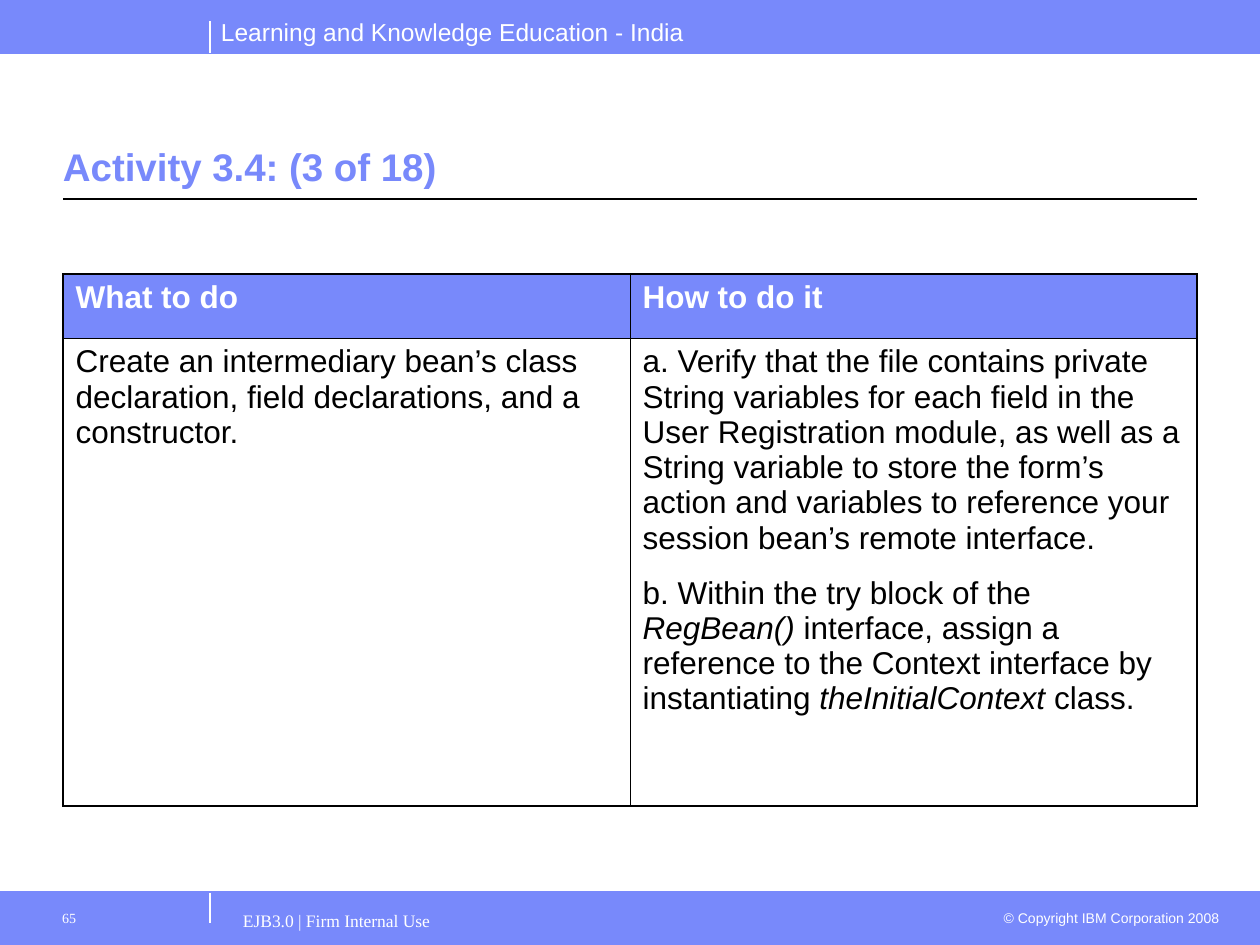
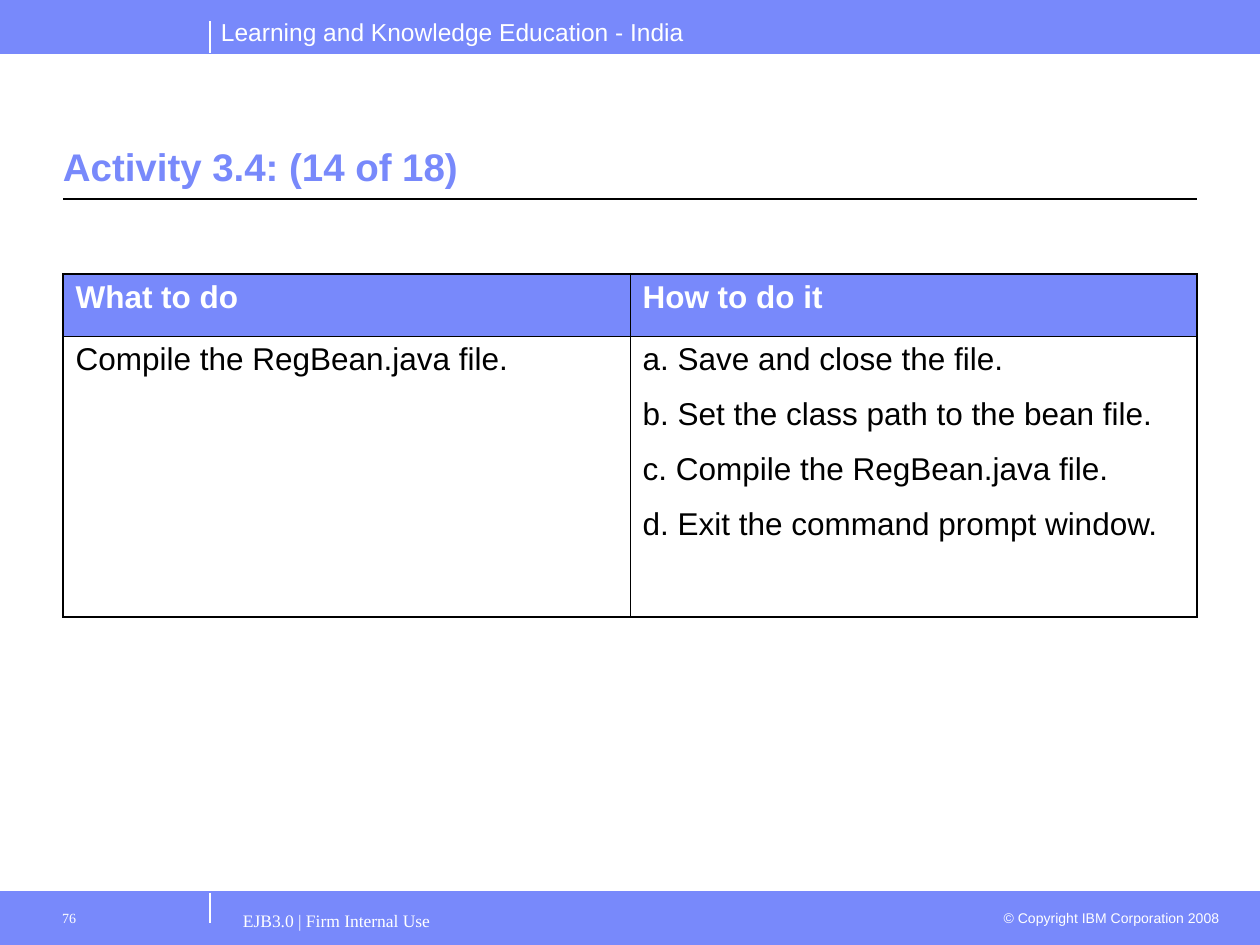
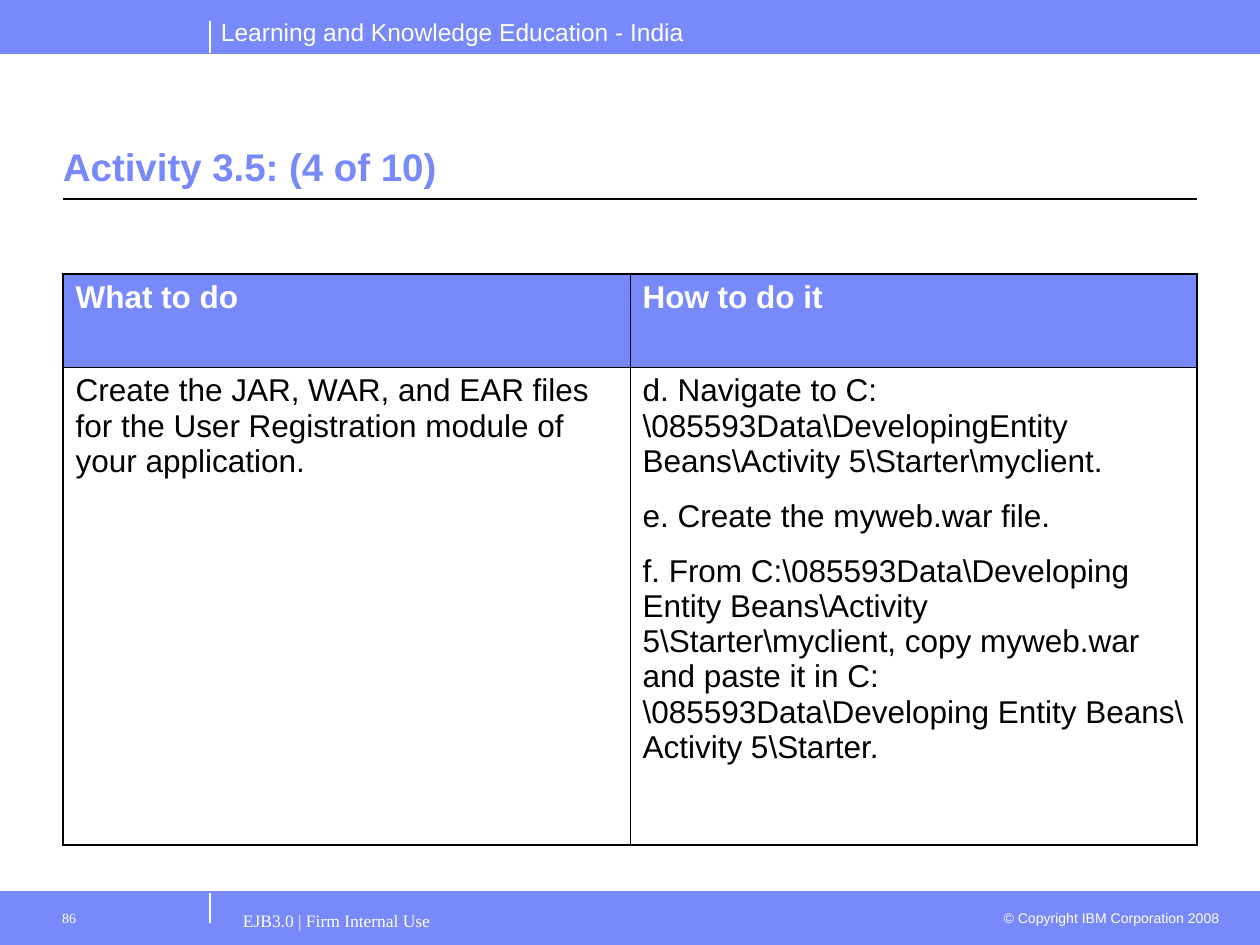
"""Build three activity slides that share bands, a title style and a two-column table."""
from dataclasses import dataclass

from lxml import etree
from pptx import Presentation
from pptx import util as u
from pptx.dml.color import RGBColor
from pptx.enum import shapes, text
from pptx.oxml import ns

PX_PER_INCH = 126
WIDTH, HEIGHT = 1260, 945
BAND = 53
FOOTER_TOP = HEIGHT - BAND
MARGIN = 63
DIVIDER_X = 210
TABLE_TOP = 274
COLUMN = (WIDTH - 2 * MARGIN) // 2
BLUE, WHITE, BLACK = "7889FB", "FFFFFF", "000000"
SANS, SERIF = "Arial", "Times New Roman"
OUTER, INNER = 1.08, 0.45
HEADINGS = ("What to do", "How to do it")


@dataclass(frozen=True)
class Style:
    font: str
    size: int
    color: str
    bold: bool = False


@dataclass(frozen=True)
class Label:
    left: int
    top: int
    width: int
    height: int
    style: Style
    align: text.PP_ALIGN = text.PP_ALIGN.LEFT
    anchor: text.MSO_ANCHOR = text.MSO_ANCHOR.TOP
    inset_left: int = 13
    inset_top: int = 6


@dataclass(frozen=True)
class Line:
    x1: int
    y1: int
    x2: int
    y2: int
    color: str
    width: float = 0.75


@dataclass(frozen=True)
class Activity:
    title: str
    number: int
    row_heights: tuple[int, int]
    task: str
    steps: tuple[str, ...]


HEADING_STYLE = Style(SANS, 18, WHITE, True)
BODY_STYLE = Style(SANS, 18, BLACK)
HEADER = Label(208, 11, 540, 43, Style(SANS, 14, WHITE))
COPYRIGHT = Label(986, 904, 246, 30, Style(SANS, 8, WHITE), text.PP_ALIGN.RIGHT)
TITLE = Label(MARGIN, 79, 2 * COLUMN, 116, Style(SANS, 22, BLUE, True),
              anchor=text.MSO_ANCHOR.BOTTOM, inset_left=0)
FOOTER = Label(230, 901, 756, 44, Style(SERIF, 10, WHITE), inset_top=9)
NUMBER = Label(42, 901, 168, 44, Style(SERIF, 8, WHITE), inset_left=20, inset_top=9)

LINES = (
    Line(DIVIDER_X, FOOTER_TOP + 31, DIVIDER_X, FOOTER_TOP, WHITE),
    Line(0, BAND, WIDTH, BAND, BLUE, 0.5),
    Line(0, FOOTER_TOP, WIDTH, FOOTER_TOP, BLUE, 0.5),
    Line(MARGIN, 199, WIDTH - MARGIN, 199, BLACK),
    Line(DIVIDER_X, BAND, DIVIDER_X, BAND - 32, WHITE),
)

ACTIVITIES = (
    Activity(
        "Activity 3.4: (3 of 18)", 65, (64, 468),
        "Create an intermediary bean’s class declaration, field declarations, and a constructor.",
        ("a. Verify that the file contains private String variables for each field in the "
         "User Registration module, as well as a String variable to store the form’s action "
         "and variables to reference your session bean’s remote interface.",
         "b. Within the try block of the *RegBean()* interface, assign a reference to the "
         "Context interface by instantiating *theInitialContext* class.")),
    Activity(
        "Activity 3.4: (14 of 18)", 76, (62, 281),
        "Compile the RegBean.java file.",
        ("a. Save and close the file.",
         "b. Set the class path to the bean file.",
         "c. Compile the RegBean.java file.",
         "d. Exit the command prompt window.")),
    Activity(
        "Activity 3.5: (4 of 10)", 86, (93, 478),
        "Create the JAR, WAR, and EAR files for the User Registration module of your application.",
        (r"d. Navigate to C:\085593Data\DevelopingEntity Beans\Activity 5\Starter\myclient.",
         "e. Create the myweb.war file.",
         r"f. From C:\085593Data\Developing Entity Beans\Activity 5\Starter\myclient, "
         r"copy myweb.war and paste it in C:\085593Data\Developing Entity Beans\ "
         r"Activity 5\Starter.")),
)


def px(value: int) -> u.Emu:
    """Turn pixels into EMU."""
    return u.Emu(round(value * 914400 / PX_PER_INCH))


def rgb(value: str) -> RGBColor:
    """Turn a hex string into a colour."""
    return RGBColor.from_string(value)


def format_run(run, style: Style) -> None:
    """Apply a text style to a run."""
    run.font.name = style.font
    run.font.size = u.Pt(style.size)
    run.font.bold = style.bold
    run.font.color.rgb = rgb(style.color)


def add_band(slide, top: int) -> None:
    """Draw a full-width blue band."""
    shape = slide.shapes.add_shape(shapes.MSO_SHAPE.RECTANGLE, 0, px(top), px(WIDTH), px(BAND))
    shape.shadow.inherit = False
    shape.fill.solid()
    shape.fill.fore_color.rgb = rgb(BLUE)
    shape.line.color.rgb = rgb(BLUE)
    shape.line.width = u.Pt(0.75)


def add_line(slide, line: Line) -> None:
    """Draw a straight line without a shadow."""
    connector = slide.shapes.add_connector(
        shapes.MSO_CONNECTOR.STRAIGHT, px(line.x1), px(line.y1), px(line.x2), px(line.y2))
    connector.line.color.rgb = rgb(line.color)
    connector.line.width = u.Pt(line.width)
    etree.SubElement(connector._element.spPr, ns.qn("a:effectLst"))


def add_label(slide, label: Label, content: str) -> None:
    """Draw a one-paragraph text box."""
    shape = slide.shapes.add_textbox(
        px(label.left), px(label.top), px(label.width), px(label.height))
    frame = shape.text_frame
    frame.word_wrap = True
    frame.vertical_anchor = label.anchor
    frame.margin_left, frame.margin_top = px(label.inset_left), px(label.inset_top)
    frame.text = content
    paragraph = frame.paragraphs[0]
    paragraph.alignment = label.align
    format_run(paragraph.runs[0], label.style)


def set_borders(cell, row: int, column: int) -> None:
    """Give a cell thick outer and thin inner borders."""
    properties = cell._tc.get_or_add_tcPr()
    outer_sides = {"L": column == 0, "R": column == 1, "T": row == 0, "B": row == 1}
    for side, is_outer in outer_sides.items():
        width = u.Pt(OUTER if is_outer else INNER)
        border = etree.SubElement(properties, ns.qn(f"a:ln{side}"), w=str(int(width)))
        fill = etree.SubElement(border, ns.qn("a:solidFill"))
        etree.SubElement(fill, ns.qn("a:srgbClr"), val=BLACK)


def fill_cell(cell, paragraphs: tuple[str, ...], style: Style) -> None:
    """Write paragraphs into a cell, with starred parts in italics."""
    frame = cell.text_frame
    for index, content in enumerate(paragraphs):
        paragraph = frame.add_paragraph() if index else frame.paragraphs[0]
        paragraph.space_after = u.Pt(11.2)
        for part_index, part in enumerate(content.split("*")):
            run = paragraph.add_run()
            run.text = part
            format_run(run, style)
            run.font.italic = part_index % 2 == 1


def add_activity_table(slide, activity: Activity) -> None:
    """Draw the table of the task and its steps."""
    table = slide.shapes.add_table(
        2, 2, px(MARGIN), px(TABLE_TOP), px(2 * COLUMN), px(sum(activity.row_heights))).table
    table.horz_banding = False
    table.first_row = False
    for column in table.columns:
        column.width = px(COLUMN)
    rows = (tuple((heading,) for heading in HEADINGS), ((activity.task,), activity.steps))
    for row_index, contents in enumerate(rows):
        table.rows[row_index].height = px(activity.row_heights[row_index])
        for column_index, paragraphs in enumerate(contents):
            cell = table.cell(row_index, column_index)
            set_borders(cell, row_index, column_index)
            if row_index == 0:
                cell.fill.solid()
                cell.fill.fore_color.rgb = rgb(BLUE)
            else:
                cell.fill.background()
            fill_cell(cell, paragraphs, BODY_STYLE if row_index else HEADING_STYLE)


def add_frame(slide) -> None:
    """Draw the bands, lines and fixed texts that every slide shares."""
    for top in (FOOTER_TOP, 0):
        add_band(slide, top)
    add_label(slide, HEADER, "Learning and Knowledge Education - India")
    add_label(slide, COPYRIGHT, "© Copyright IBM Corporation 2008")
    for line in LINES:
        add_line(slide, line)
    add_label(slide, FOOTER, "EJB3.0 | Firm Internal Use")


def main() -> None:
    """Build and save the presentation."""
    presentation = Presentation()
    presentation.slide_width, presentation.slide_height = px(WIDTH), px(HEIGHT)
    for activity in ACTIVITIES:
        slide = presentation.slides.add_slide(presentation.slide_layouts[6])
        add_frame(slide)
        add_label(slide, TITLE, activity.title)
        add_activity_table(slide, activity)
        add_label(slide, NUMBER, str(activity.number))
    presentation.save("out.pptx")


if __name__ == "__main__":
    main()
